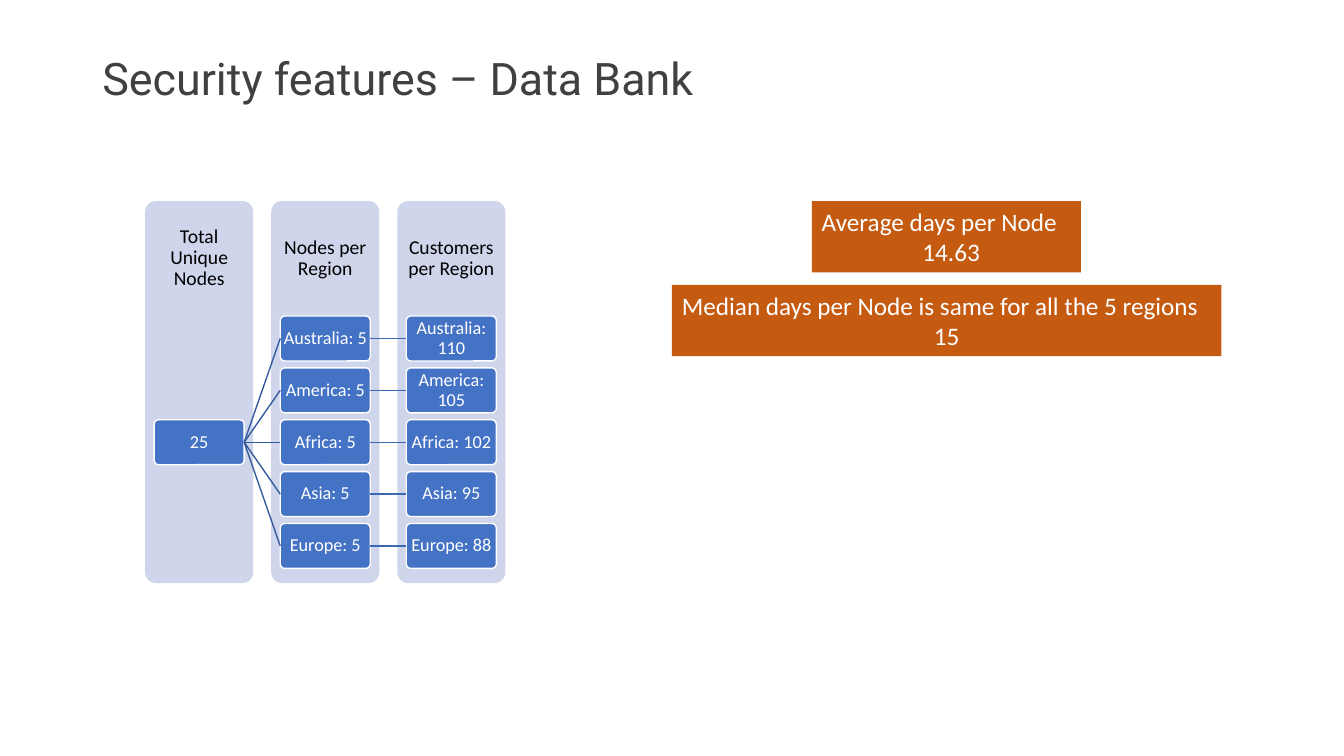
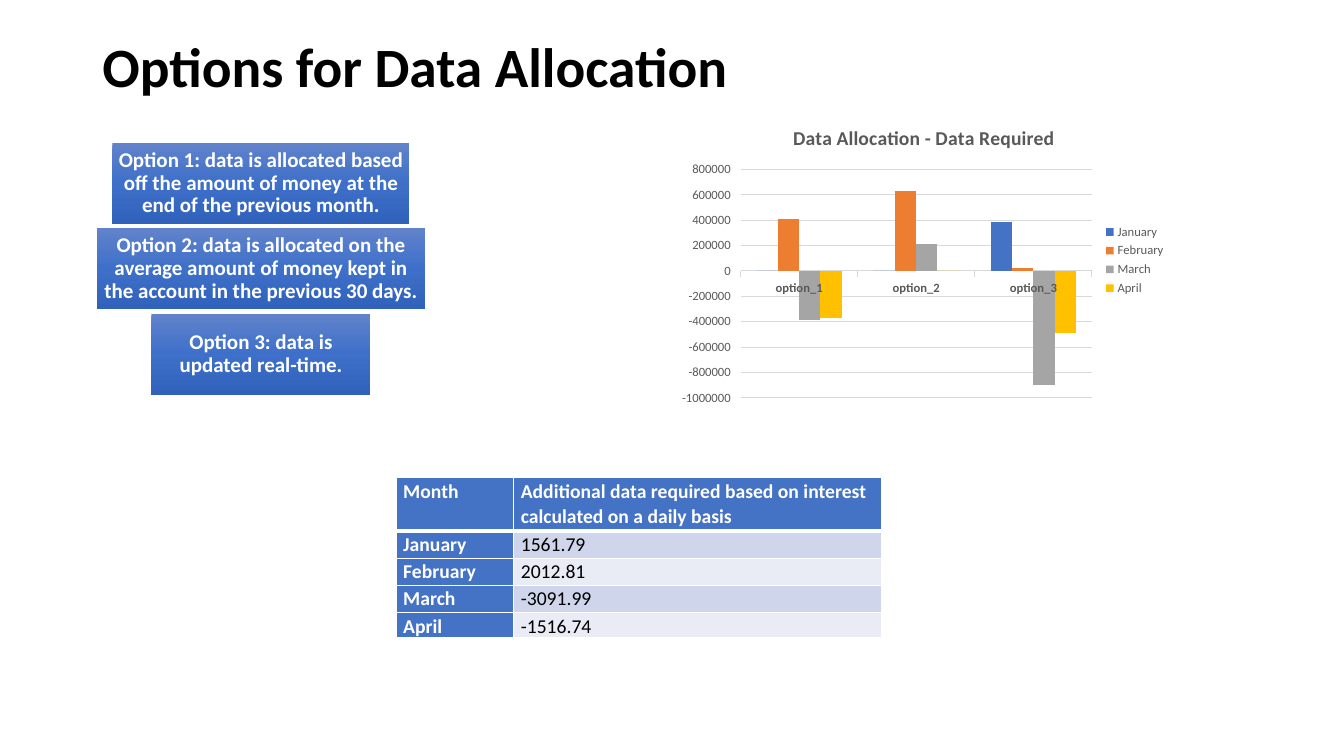
import copy

import pptx
import pptx.chart.data
import pptx.dml.color
import pptx.enum.chart
import pptx.enum.shapes
import pptx.enum.text
import pptx.oxml
import pptx.oxml.ns
import pptx.util

# Shared look
COLORS = {
    "white": "FFFFFF", "black": "000000", "title": "404040", "muted": "595959",
    "grid": "D9D9D9", "node": "4472C4", "panel": "CFD5EA", "pale": "E9EBF5",
    "fan": "365B9D", "link": "3E67B2", "fact": "C55A11",
    "February": "ED7D31", "March": "A5A5A5", "April": "FFC000",
    "top": "6183CB", "middle": "3E70CA", "bottom": "3062BB",
}
BODY_FONT = "Calibri"
WIDTH, HEIGHT = pptx.util.Inches(13.333), pptx.util.Inches(7.5)
RECT = pptx.enum.shapes.MSO_SHAPE.RECTANGLE
ROUNDED = pptx.enum.shapes.MSO_SHAPE.ROUNDED_RECTANGLE
LEFT, CENTER = pptx.enum.text.PP_ALIGN.LEFT, pptx.enum.text.PP_ALIGN.CENTER
TOP, MIDDLE = pptx.enum.text.MSO_ANCHOR.TOP, pptx.enum.text.MSO_ANCHOR.MIDDLE
Inches, Pt = pptx.util.Inches, pptx.util.Pt


def color(name):
    return pptx.dml.color.RGBColor.from_string(COLORS[name])


def across(percent):
    return round(WIDTH * percent / 100)


def down(percent):
    return round(HEIGHT * percent / 100)


def area(left, top, width, height):
    """Turn percentages of the slide into lengths."""
    return across(left), down(top), across(width), down(height)


def style_font(font, size, ink, bold=False, family=BODY_FONT):
    font.size, font.bold, font.name = Pt(size), bold, family
    font.color.rgb = color(ink)


def write(frame, text, size, ink, bold=False, align=CENTER, anchor=MIDDLE,
          inset=None, spacing=0.9, family=BODY_FONT):
    frame.text = text
    frame.word_wrap = True
    frame.vertical_anchor = anchor
    if inset is not None:
        frame.margin_left = frame.margin_right = Inches(inset)
        frame.margin_top = frame.margin_bottom = Inches(inset)
    for paragraph in frame.paragraphs:
        paragraph.alignment, paragraph.line_spacing = align, spacing
        for run in paragraph.runs:
            style_font(run.font, size, ink, bold, family)


def add_title(slide, text, height, size, ink, bold=False, family=BODY_FONT):
    title = slide.shapes.add_textbox(*area(6.88, 5.33, 86.25, height))
    write(title.text_frame, text, size, ink, bold, LEFT, family=family)


def add_box(slide, kind, place, fill=None, outline=None):
    box = slide.shapes.add_shape(kind, *area(*place))
    box.shadow.inherit = False
    if kind == ROUNDED:
        box.adjustments[0] = 0.1
    if fill:
        box.fill.solid()
        box.fill.fore_color.rgb = color(fill)
    if outline:
        box.line.color.rgb = color(outline)
        box.line.width = Pt(1)
    else:
        box.line.fill.background()
    return box


def join(slide, source, target, ink):
    """Draw a line from the right side of one node to the left of another."""
    link = slide.shapes.add_connector(pptx.enum.shapes.MSO_CONNECTOR.STRAIGHT, 0, 0, 0, 0)
    link.begin_connect(source, 3)
    link.end_connect(target, 1)
    link.line.color.rgb = color(ink)
    link.line.width = Pt(1)
    link.element.spPr.append(pptx.oxml.parse_xml(
        f'<a:effectLst {pptx.oxml.ns.nsdecls("a")}/>'))


def add_node_tree(slide, headings, total, regions):
    left, top, column, row = 10.8, 26.6, 9.38, 6.86

    def add_node(col, line, text):
        place = (left + 0.67 + col * column, 41.8 + line * row, 6.7, 5.95)
        node = add_box(slide, ROUNDED, place, "node", "white")
        write(node.text_frame, text, 13, "white", inset=0.01)
        return node

    for col, heading in enumerate(headings):
        x = left + col * column
        add_box(slide, ROUNDED, (x, top, 8.04, 50.53), "panel")
        label = slide.shapes.add_textbox(*area(x, top, 8.04, 15.16))
        write(label.text_frame, heading, 14, "black", inset=0.1)

    root = add_node(0, (len(regions) - 1) / 2, total)
    for line, (region, nodes, customers) in enumerate(regions):
        node_count = add_node(1, line, f"{region}: {nodes}")
        customer_count = add_node(2, line, f"{region}: {customers}")
        join(slide, root, node_count, "fan")
        join(slide, node_count, customer_count, "link")


def add_fact(slide, place, label, value):
    fact = add_box(slide, RECT, place, "fact")
    write(fact.text_frame, f"{label}\n{value}", 18, "white", align=LEFT,
          anchor=TOP, spacing=1)
    fact.text_frame.paragraphs[1].alignment = CENTER
    return fact


def add_option(slide, place, text):
    option = add_box(slide, RECT, place)
    option.fill.gradient()
    option.fill.gradient_angle = 270
    stop_list = option.element.find(".//" + pptx.oxml.ns.qn("a:gsLst"))
    stop_list.insert(1, copy.deepcopy(stop_list[0]))
    shades = ("top", "middle", "bottom")
    for index, (stop, shade) in enumerate(zip(option.fill.gradient_stops, shades)):
        stop.position = index / 2
        stop.color.rgb = color(shade)
    write(option.text_frame, text, 15, "white", bold=True, inset=0.04)


def add_allocation_chart(slide, place, title, options, months):
    data = pptx.chart.data.CategoryChartData()
    data.categories = options
    for month, values in months.items():
        data.add_series(month, values)
    kind = pptx.enum.chart.XL_CHART_TYPE.COLUMN_CLUSTERED
    chart = slide.shapes.add_chart(kind, *area(*place), data).chart
    style_font(chart.font, 10, "black")

    chart.has_title = True
    chart.chart_title.text_frame.text = title
    heading = chart.chart_title.text_frame.paragraphs[0].runs[0]
    style_font(heading.font, 14, "muted", bold=True)
    chart.has_legend = True
    chart.legend.position = pptx.enum.chart.XL_LEGEND_POSITION.RIGHT
    chart.legend.include_in_layout = False
    style_font(chart.legend.font, 9, "muted")

    plot = chart.plots[0]
    plot.gap_width, plot.overlap, plot.vary_by_categories = 150, 0, False
    for series in plot.series:
        series.invert_if_negative = False
        series.format.fill.solid()
        series.format.fill.fore_color.rgb = color(
            "node" if series.name == "January" else series.name)

    amounts = chart.value_axis
    amounts.minimum_scale, amounts.maximum_scale = -1000000, 800000
    amounts.major_unit = 200000
    amounts.format.line.fill.background()
    style_font(amounts.tick_labels.font, 9, "muted")
    style_font(chart.category_axis.tick_labels.font, 9, "muted", bold=True)
    for rule in (chart.category_axis.format.line, amounts.major_gridlines.format.line):
        rule.color.rgb = color("grid")
        rule.width = Pt(0.75)


def set_borders(cell, **widths):
    """Give a cell white borders; a side named in widths gets its own weight."""
    for side in "LRTB":
        weight = Pt(widths.get(side, 1))
        cell._tc.get_or_add_tcPr().append(pptx.oxml.parse_xml(
            f'<a:ln{side} {pptx.oxml.ns.nsdecls("a")} w="{weight}"><a:solidFill>'
            f'<a:srgbClr val="{COLORS["white"]}"/></a:solidFill></a:ln{side}>'))


def add_interest_table(slide, left, top, columns, heights, rows):
    place = area(left, top, sum(columns), sum(heights))
    table = slide.shapes.add_table(len(rows), len(columns), *place).table
    for column, width in zip(table.columns, columns):
        column.width = across(width)
    for r, (texts, height) in enumerate(zip(rows, heights)):
        table.rows[r].height = down(height)
        for c, text in enumerate(texts):
            cell = table.cell(r, c)
            header = r == 0 or c == 0
            set_borders(cell, **({"B": 3} if r == 0 else {"T": 3} if r == 1 else {}))
            cell.fill.solid()
            cell.fill.fore_color.rgb = color(
                "node" if header else "panel" if r % 2 else "pale")
            write(cell.text_frame, text, 14, "white" if header else "black",
                  header, LEFT, TOP, spacing=1.07)
            cell.margin_left = cell.margin_right = Inches(0.07)
            cell.margin_top = cell.margin_bottom = 0


def build_security(slide):
    add_title(slide, "Security features – Data Bank", 10.8, 32, "title", family="Roboto")
    add_node_tree(
        slide,
        ("Total Unique Nodes", "Nodes per Region", "Customers per Region"),
        "25",
        (("Australia", 5, 110), ("America", 5, 105), ("Africa", 5, 102),
         ("Asia", 5, 95), ("Europe", 5, 88)))
    average = add_fact(slide, (60.4, 26.6, 20.03, 9.43), "Average days per Node", "14.63")
    # The average sits one inch in from the label's left edge
    value = average.text_frame.paragraphs[1]
    value.alignment = LEFT
    value._p.get_or_add_pPr().set("marL", str(Inches(1)))
    add_fact(slide, (50, 37.7, 40.88, 9.43),
             "Median days per Node is same for all the 5 regions", "15")


def build_options(slide):
    add_title(slide, "Options for Data Allocation", 7.73, 39.6, "black", bold=True)
    options = (
        (22.1, "Option 1: data is allocated based off the amount of money at the "
               "end of the previous month."),
        (24.4, "Option 2: data is allocated on the average amount of money kept in "
               "the account in the previous 30 days."),
        (16.3, "Option 3: data is updated real-time."))
    for index, (width, text) in enumerate(options):
        place = (19.42 - width / 2, 18.9 + index * 11.29, width, 10.75)
        add_option(slide, place, text)
    add_allocation_chart(
        slide, (50, 14.4, 37.5, 40), "Data Allocation - Data Required",
        ("option_1", "option_2", "option_3"),
        {"January": (0, 0, 390000),
         "February": (410000, 630000, 20000),
         "March": (-390000, 210000, -900000),
         "April": (-370000, 0, -490000)})
    add_interest_table(
        slide, 29.48, 63.2, (8.75, 27.38), (7.07, 3.6, 3.6, 3.6, 3.33),
        (("Month", "Additional data required based on interest\v"
                   "calculated on a daily basis"),
         ("January", "1561.79"), ("February", "2012.81"),
         ("March", "-3091.99"), ("April", "-1516.74")))


def main():
    deck = pptx.Presentation()
    deck.slide_width, deck.slide_height = WIDTH, HEIGHT
    for build in (build_security, build_options):
        build(deck.slides.add_slide(deck.slide_layouts[6]))
    deck.save("out.pptx")


if __name__ == "__main__":
    main()
